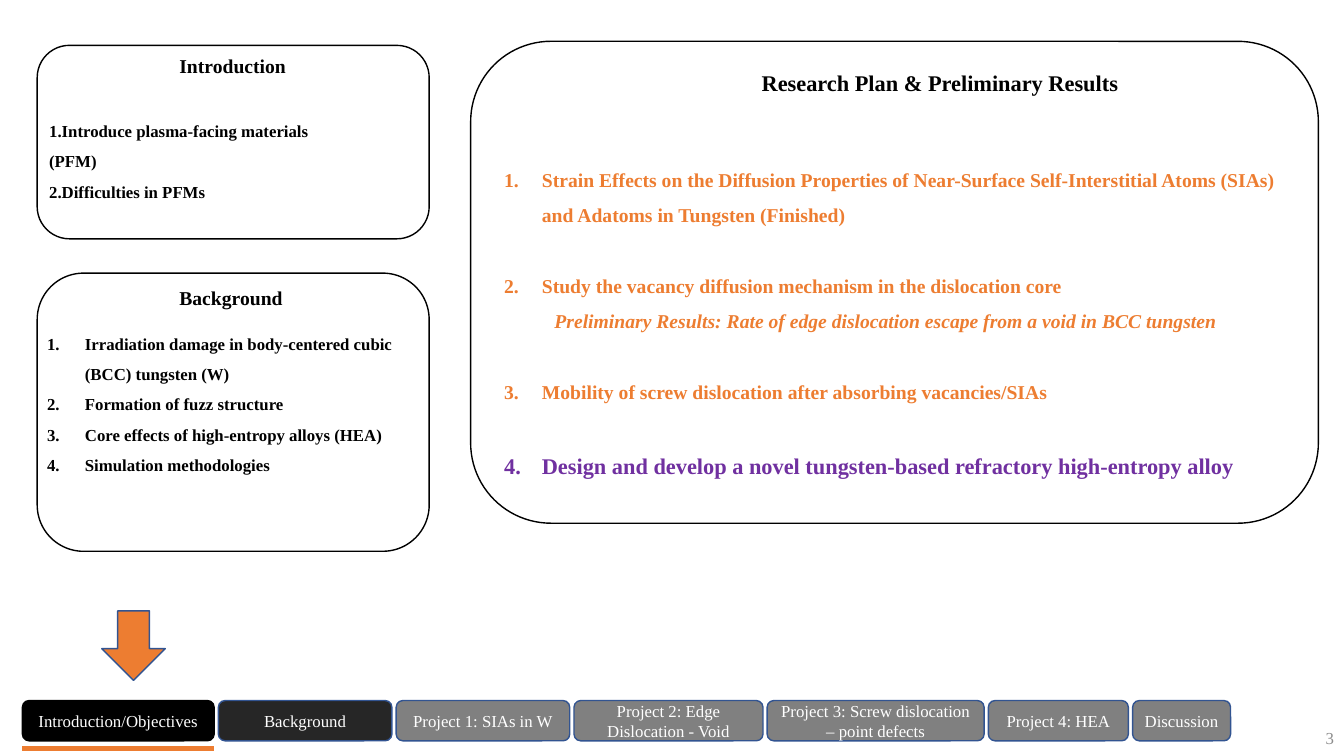
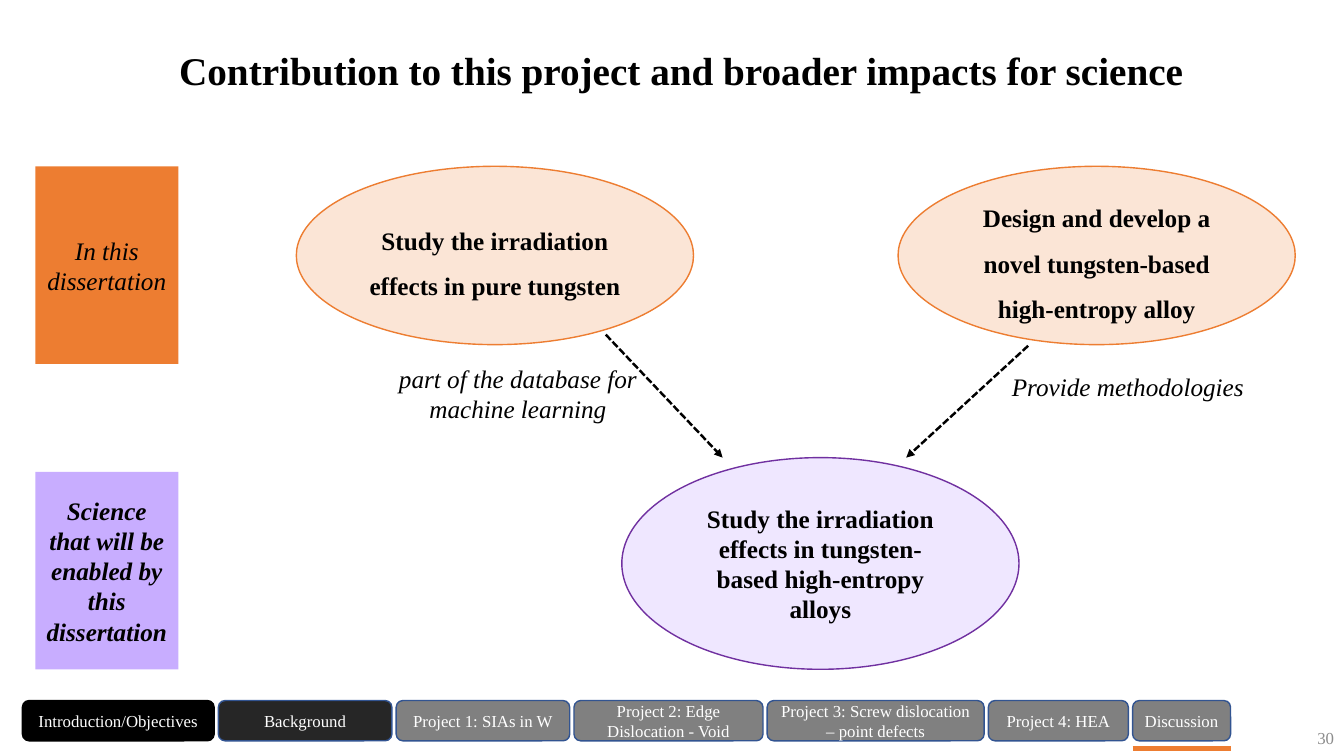
from pptx import Presentation
from pptx.dml.color import RGBColor
from pptx.enum import dml, shapes, text
from pptx.oxml.ns import qn
from pptx.util import Pt
from lxml import etree


class Theme:
    face = "Times New Roman"
    black, white, dark, gray = "000000", "FFFFFF", "262626", "808080"
    pale, blue = "8C8C8C", "325491"
    orange, peach = "ED7D31", "FBE5D6"
    purple, lilac = "7030A0", "C8ADFF"
    small, mid, large, body, title = 12, 14, 16, 18, 28


T = Theme
KIND = shapes.MSO_SHAPE
LEFT, CENTER, RIGHT = text.PP_ALIGN.LEFT, text.PP_ALIGN.CENTER, text.PP_ALIGN.RIGHT
TOP, MIDDLE = text.MSO_ANCHOR.TOP, text.MSO_ANCHOR.MIDDLE


def box(slide, place, kind=None, fill=None, edge=None, lines=(), size=T.body,
        color=T.black, bold=False, italic=False, align=CENTER, anchor=MIDDLE,
        space=None, indent=None, gap=0, top=3.6):
    """Add a shape, or a text box if no kind is given; indent numbers the lines.

    A line is a string or a (string, changes) pair.
    """
    place = [Pt(v) for v in place]
    if kind is None:
        item = slide.shapes.add_textbox(*place)
    else:
        item = slide.shapes.add_shape(kind, *place)
        item.shadow.inherit = False
        item.fill.solid()
        item.fill.fore_color.rgb = RGBColor.from_string(fill)
        if edge:
            item.line.color.rgb = RGBColor.from_string(edge)
            item.line.width = Pt(1)
        else:
            item.line.fill.background()
    frame = item.text_frame
    frame.word_wrap = True
    frame.vertical_anchor = anchor
    frame.margin_top = Pt(top)
    for i, line in enumerate(lines):
        words, diff = (line, {}) if isinstance(line, str) else line
        para = frame.add_paragraph() if i else frame.paragraphs[0]
        para.text = words
        para.alignment = align
        if space:
            para.line_spacing = space
        props = para._p.get_or_add_pPr()
        if diff.get("sub"):
            para.level = 1
            props.set("marL", str(Pt(36)))
            props.set("indent", "0")
            etree.SubElement(props, qn("a:buNone"))
        elif indent is not None:
            if i and gap:
                para.space_before = Pt(gap)
            props.set("marL", str(Pt(indent)))
            props.set("indent", str(Pt(-indent)))
            bullet = etree.SubElement(props, qn("a:buAutoNum"))
            bullet.set("type", "arabicPeriod")
        font = para.font
        font.name = T.face
        font.size = Pt(diff.get("size", size))
        font.bold = bold
        font.italic = diff.get("sub", italic)
        font.color.rgb = RGBColor.from_string(diff.get("color", color))
    return item


def rule(slide, start, end, color, width, arrow=False):
    """Add a straight line, dashed with an arrowhead if asked."""
    line = slide.shapes.add_connector(
        shapes.MSO_CONNECTOR.STRAIGHT, *[Pt(v) for v in (*start, *end)])
    line.line.color.rgb = RGBColor.from_string(color)
    line.line.width = Pt(width)
    if arrow:
        line.line.dash_style = dml.MSO_LINE.SQUARE_DOT
        tail = etree.SubElement(line.line._get_or_add_ln(), qn("a:tailEnd"))
        tail.set("type", "triangle")
    etree.SubElement(line._element.spPr, qn("a:effectLst"))


deck = Presentation()
deck.slide_width, deck.slide_height = Pt(960), Pt(540)
plan, impact = [deck.slides.add_slide(deck.slide_layouts[6]) for _ in range(2)]

# Shared footer: section tabs, marker under the current one, page number
tabs = [
    ("Introduction/Objectives", 137, T.black, T.black),
    ("Background", 124, T.dark, T.blue),
    ("Project 1: SIAs in W", 124, T.gray, T.blue),
    ("Project 2: Edge Dislocation - Void", 135, T.gray, T.blue),
    ("Project 3: Screw dislocation – point defects", 155, T.gray, T.blue),
    ("Project 4: HEA", 100, T.gray, T.blue),
    ("Discussion", 70, T.gray, T.blue),
]
for slide, page, active in ((plan, "3", 0), (impact, "30", 6)):
    left = 16
    for i, (name, width, fill, edge) in enumerate(tabs):
        box(slide, (left, 500.4, width, 28.8), KIND.ROUNDED_RECTANGLE, fill, edge,
            [name], T.small, T.white)
        if i == active:
            rule(slide, (left, 534.6), (left + width, 534.6), T.orange, 3.25)
        left += width + 3
    box(slide, (744, 512.6, 216, 28.8), lines=[page], size=T.small,
        color=T.pale, align=RIGHT)

# Plan: left-hand cards
cards = [
    ("Introduction", (26.6, 32.4, 280, 138.2), 35.3, (28, 75.6, 223, 90), 0,
     ["Introduce plasma-facing materials (PFM)", "Difficulties in PFMs"]),
    ("Background", (26.6, 195.1, 280, 198.7), 201, (26.6, 227.5, 268.6, 114), 27,
     ["Irradiation damage in body-centered cubic (BCC) tungsten (W)",
      "Formation of fuzz structure",
      "Core effects of high-entropy alloys (HEA)",
      "Simulation methodologies"]),
]
for head, frame, y, place, indent, lines in cards:
    box(plan, frame, KIND.ROUNDED_RECTANGLE, T.white, T.black)
    box(plan, (121, y, 110, 24.5), lines=[head], size=T.mid, bold=True,
        align=LEFT, anchor=TOP)
    box(plan, place, lines=lines, size=T.small, bold=True, align=LEFT,
        anchor=TOP, space=1.5, indent=indent)

# Plan: research card
topics = [
    "Strain Effects on the Diffusion Properties of Near-Surface "
    "Self-Interstitial Atoms (SIAs) and Adatoms in Tungsten (Finished)",
    "Study the vacancy diffusion mechanism in the dislocation core",
    ("Preliminary Results: Rate of edge dislocation escape from a void in BCC "
     "tungsten", {"sub": True}),
    "Mobility of screw dislocation after absorbing vacancies/SIAs",
    ("Design and develop a novel tungsten-based refractory high-entropy alloy",
     {"size": T.large, "color": T.purple}),
]
box(plan, (336.2, 29.5, 605.5, 344.2), KIND.ROUNDED_RECTANGLE, T.white, T.black,
    topics, T.mid, T.orange, bold=True, align=LEFT, space=1.5, indent=27,
    gap=25.2, top=54)
box(plan, (537, 46, 282, 26.6), lines=["Research Plan & Preliminary Results"],
    size=T.large, bold=True, align=LEFT, anchor=TOP)

# Plan: pointer to the current section
box(plan, (72.7, 436.3, 45.4, 49.7), KIND.DOWN_ARROW, T.orange, T.blue)

# Impact: title
box(impact, (105, 0, 763, 104.4), size=T.title, bold=True, space=0.9,
    lines=["Contribution to this project and broader impacts for science"])

# Impact: goals
goals = [
    (211.7, 118.8, 127.4, T.peach, T.orange, 1.5,
     "Study the irradiation effects in pure tungsten"),
    (641.5, 118.8, 127.4, T.peach, T.orange, 1.5,
     "Design and develop a novel tungsten-based high-entropy alloy"),
    (444.2, 326.9, 151.2, T.lilac, T.purple, None,
     "Study the irradiation effects in tungsten-based high-entropy alloys"),
]
for x, y, high, fill, edge, space, words in goals:
    goal = box(impact, (x, y, 283.7, high), KIND.OVAL, fill, edge, [words],
               bold=True, space=space)
# The last goal is see-through
tint = goal._element.spPr.find(qn("a:solidFill"))[0]
etree.SubElement(tint, qn("a:alpha")).set("val", "29000")

# Impact: row labels
for y, fill, bold, words in (
        (118.8, T.orange, False, "In this dissertation"),
        (337, T.lilac, True, "Science that will be enabled by this dissertation")):
    box(impact, (25.2, y, 102.2, 141.1), KIND.RECTANGLE, fill, lines=[words],
        bold=bold, italic=True)

# Impact: links and their notes
for start, end, place, words in (
        ((432.7, 239), (516.2, 326.9), (270, 255.6, 200, 51),
         "part of the database for machine learning"),
        ((734.4, 247), (647.3, 326.9), (690.5, 261.4, 230.4, 29),
         "Provide methodologies")):
    rule(impact, start, end, T.black, 1.75, arrow=True)
    box(impact, place, lines=[words], italic=True, anchor=TOP)

deck.save("out.pptx")
